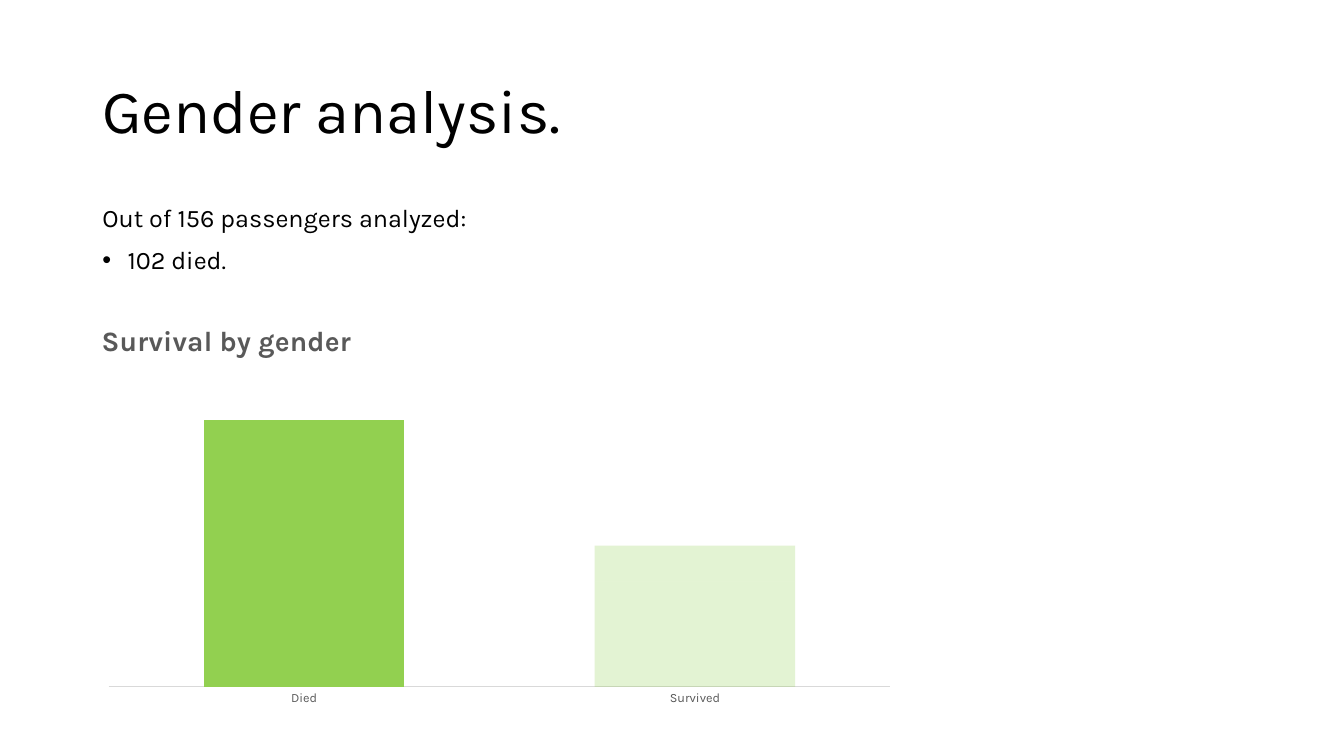
import pptx
import pptx.util
import pptx.chart.data
import pptx.dml.color
import pptx.enum.chart
import pptx.enum.text
import pptx.oxml
import pptx.oxml.ns

Cm, Pt = pptx.util.Cm, pptx.util.Pt
RGB = pptx.dml.color.RGBColor
qn = pptx.oxml.ns.qn
BLACK = RGB(0x00, 0x00, 0x00)
GREY = RGB(0x59, 0x59, 0x59)
RULE = RGB(0xD9, 0xD9, 0xD9)
GREEN = RGB(0x92, 0xD0, 0x50)
FACE = "Karla"
FADE = 25


def style(item, form):
    """Set each attribute in form on item."""
    for name, value in form.items():
        setattr(item, name, value)


def paint(font, size, color, bold=False):
    """Set face, size, colour and weight of a font."""
    style(font, {"name": FACE, "size": Pt(size), "bold": bold})
    font.color.rgb = color


def text(slide, box, lines, size, gap=0, anchor=pptx.enum.text.MSO_ANCHOR.TOP):
    """Write (line, bullet) pairs in a text box."""
    frame = slide.shapes.add_textbox(*box).text_frame
    style(frame, {"word_wrap": True, "vertical_anchor": anchor})
    for i, (line, bullet) in enumerate(lines):
        para = frame.add_paragraph() if i else frame.paragraphs[0]
        style(para, {"line_spacing": 0.9, "space_before": Pt(gap)})
        run = para.add_run()
        run.text = line
        paint(run.font, size, BLACK)
        if bullet:
            props = para._p.get_or_add_pPr()
            props.set("marL", str(Pt(18)))
            props.set("indent", str(-Pt(18)))
            for tag, key, value in (("a:buFont", "typeface", "Arial"), ("a:buChar", "char", "•")):
                pptx.oxml.ns.qn(tag)
                mark = props.makeelement(qn(tag), {key: value})
                props.append(mark)


def place(part, inner=False, **spots):
    """Fix the layout of a chart part by fractions of the chart."""
    lay = part.find(qn("c:layout"))
    if lay is None:
        lay = part.makeelement(qn("c:layout"), {})
        part.insert(0, lay)
    hand = lay.makeelement(qn("c:manualLayout"), {})
    lay.append(hand)
    rules = {"layoutTarget": "inner"} if inner else {}
    rules.update(xMode="edge", yMode="edge", **spots)
    for tag, value in rules.items():
        hand.append(hand.makeelement(qn("c:" + tag), {"val": str(value)}))


def graph(slide, box):
    """Draw the stacked survival columns in the box."""
    data = pptx.chart.data.CategoryChartData()
    data.categories = ["Died", "Survived"]
    data.add_series("Series 1", (19, 47))
    data.add_series("Series 2", (100, 16))
    kind = pptx.enum.chart.XL_CHART_TYPE.COLUMN_STACKED
    chart = slide.shapes.add_chart(kind, *box, data).chart
    style(chart, {"has_legend": False, "has_title": True})
    paint(chart.font, 10, BLACK)

    para = chart.chart_title.text_frame.paragraphs[0]
    run = para.add_run()
    run.text = "Survival by gender"
    paint(run.font, 20, GREY, True)
    place(chart.chart_title._element, x=0.005, y=0.02)
    place(chart._chartSpace.chart.plotArea, True, x=0.02, y=0.16, w=0.96, h=0.77)

    none = pptx.enum.chart.XL_TICK_MARK.NONE
    axis = chart.category_axis
    style(axis, {"major_tick_mark": none, "minor_tick_mark": none})
    paint(axis.tick_labels.font, 9, GREY)
    axis.format.line.color.rgb = RULE
    axis.format.line.width = Pt(0.75)
    style(chart.value_axis, {"visible": False, "has_major_gridlines": False,
                             "minimum_scale": 0, "maximum_scale": 140})

    plot = chart.plots[0]
    style(plot, {"gap_width": 95, "overlap": 100, "vary_by_categories": False})
    for row in plot.series:
        row.invert_if_negative = False
        pale = row.points[1].format.fill
        for fill in (row.format.fill, pale):
            fill.solid()
            fill.fore_color.rgb = GREEN
        tint = pale._xPr.find(".//" + qn("a:srgbClr"))
        tint.append(tint.makeelement(qn("a:alpha"), {"val": str(FADE * 1000)}))


def main():
    """Build and save the slide."""
    deck = pptx.Presentation()
    style(deck, {"slide_width": Cm(33.87), "slide_height": Cm(19.05)})
    slide = deck.slides.add_slide(deck.slide_layouts[6])
    left, wide = Cm(2.33), Cm(29.21)
    text(slide, (left, Cm(1.01), wide, Cm(3.68)), [("Gender analysis.", False)], 44,
         anchor=pptx.enum.text.MSO_ANCHOR.MIDDLE)
    text(slide, (left, Cm(5.07), wide, Cm(12.09)),
         [("Out of 156 passengers analyzed:", False), ("102 died.", True)], 18, 10)
    graph(slide, (left, Cm(7.77), Cm(20.52), Cm(10.26)))
    deck.save("out.pptx")


if __name__ == "__main__":
    main()
